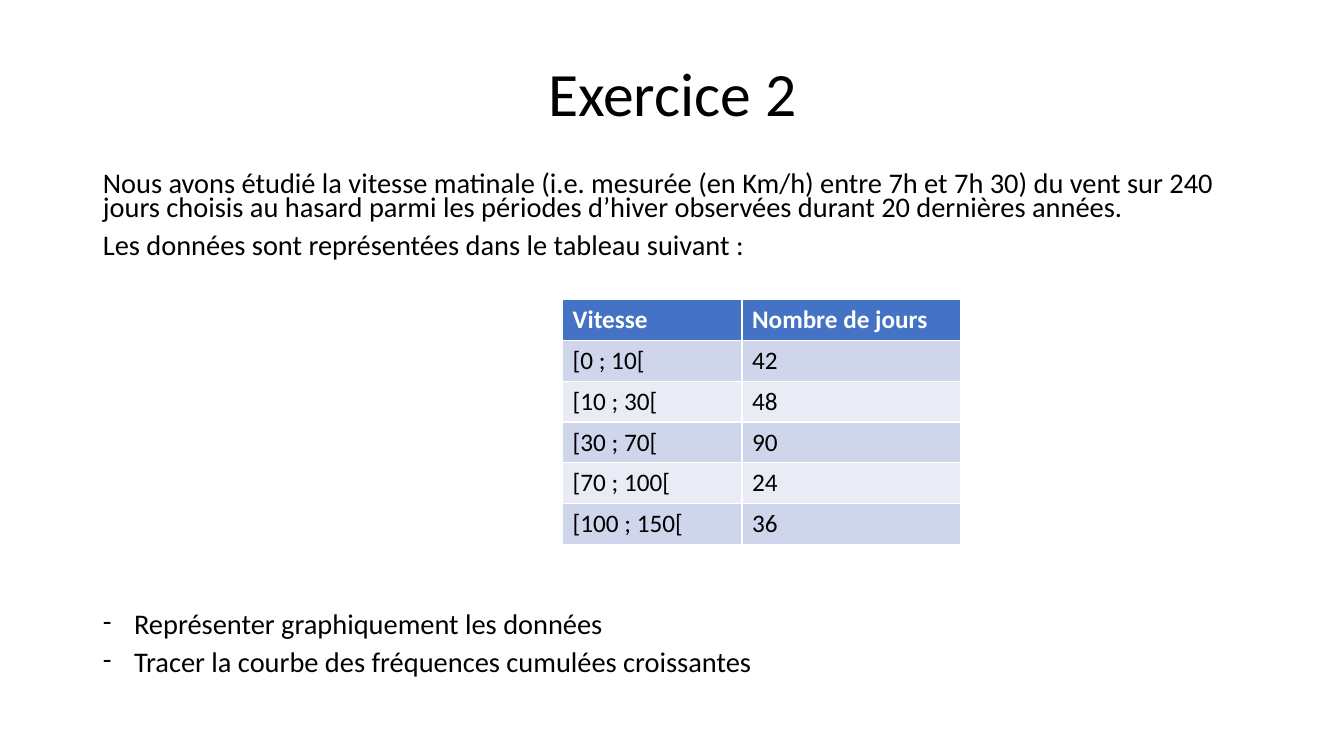
import pptx
import pptx.dml.color
import pptx.enum.text
import pptx.util
from lxml import etree
from pptx.oxml.ns import qn

Inches = pptx.util.Inches
Pt = pptx.util.Pt

TITLE = "Exercice 2"
INTRODUCTION = [
    "Nous avons étudié la vitesse matinale (i.e. mesurée (en Km/h) entre 7h et 7h 30) du vent "
    "sur 240 jours choisis au hasard parmi les périodes d’hiver observées durant 20 dernières années.",
    "Les données sont représentées dans le tableau suivant :",
]
QUESTIONS = [
    "Représenter graphiquement les données",
    "Tracer la courbe des fréquences cumulées croissantes",
]
WIND_SPEEDS = [
    ("Vitesse", "Nombre de jours"),
    ("[0 ; 10[", "42"),
    ("[10 ; 30[", "48"),
    ("[30 ; 70[", "90"),
    ("[70 ; 100[", "24"),
    ("[100 ; 150[", "36"),
]
COLUMN_WIDTHS = (1.78, 2.17)
ROW_HEIGHT = 0.405
TABLE_GAP = 254  # points left between the introduction and the questions
HANGING_INDENT = Inches(0.31)
FONT = "Calibri"
COLORS = {
    "text": "000000",
    "header_text": "FFFFFF",
    "header": "4472C4",
    "odd_row": "CFD5EA",
    "even_row": "E9EBF5",
}


def color(name):
    return pptx.dml.color.RGBColor.from_string(COLORS[name])


def format_runs(paragraph, size, color_name="text", bold=False):
    for run in paragraph.runs:
        run.font.name = FONT
        run.font.size = Pt(size)
        run.font.bold = bold
        run.font.color.rgb = color(color_name)


def place(shape, left, top, width, height):
    shape.left, shape.top = Inches(left), Inches(top)
    shape.width, shape.height = Inches(width), Inches(height)


def set_bullet(paragraph, character=None):
    """Give the paragraph a hanging bullet, or none at all."""
    properties = paragraph._p.get_or_add_pPr()
    indent = HANGING_INDENT if character else 0
    properties.set("marL", str(indent))
    properties.set("indent", str(-indent))
    if character:
        etree.SubElement(properties, qn("a:buFont")).set("typeface", FONT)
        etree.SubElement(properties, qn("a:buChar")).set("char", character)
    else:
        etree.SubElement(properties, qn("a:buNone"))


def fill_title(title):
    place(title, 0.92, 0.23, 11.5, 1.45)
    title.text_frame.text = TITLE
    paragraph = title.text_frame.paragraphs[0]
    paragraph.alignment = pptx.enum.text.PP_ALIGN.CENTER
    paragraph.line_spacing = 0.9
    format_runs(paragraph, 44)


def fill_body(body):
    place(body, 0.92, 1.68, 11.5, 5.3)
    text_frame = body.text_frame
    text_frame.text = "\n".join(INTRODUCTION + QUESTIONS)
    text_frame.auto_size = pptx.enum.text.MSO_AUTO_SIZE.NONE
    first_question = len(INTRODUCTION)
    spaces_before = {0: 0, first_question: TABLE_GAP}
    for index, paragraph in enumerate(text_frame.paragraphs):
        set_bullet(paragraph, "-" if index >= first_question else None)
        paragraph.line_spacing = 0.7
        paragraph.space_before = Pt(spaces_before.get(index, 10))
        format_runs(paragraph, 20.3)


def add_wind_table(slide):
    row_count = len(WIND_SPEEDS)
    table = slide.shapes.add_table(
        row_count, len(COLUMN_WIDTHS), Inches(5.58), Inches(2.97),
        Inches(sum(COLUMN_WIDTHS)), Inches(ROW_HEIGHT * row_count),
    ).table
    for column, width in zip(table.columns, COLUMN_WIDTHS):
        column.width = Inches(width)
    for row_index, values in enumerate(WIND_SPEEDS):
        is_header = row_index == 0
        fill_name = "header" if is_header else "odd_row" if row_index % 2 else "even_row"
        for column_index, value in enumerate(values):
            cell = table.cell(row_index, column_index)
            cell.fill.solid()
            cell.fill.fore_color.rgb = color(fill_name)
            cell.text_frame.text = value
            format_runs(cell.text_frame.paragraphs[0], 18,
                        "header_text" if is_header else "text", is_header)


def main():
    presentation = pptx.Presentation()
    presentation.slide_width = Inches(13.33)
    presentation.slide_height = Inches(7.5)
    slide = presentation.slides.add_slide(presentation.slide_layouts[1])
    fill_title(slide.shapes.title)
    fill_body(slide.placeholders[1])
    add_wind_table(slide)
    presentation.save("out.pptx")


if __name__ == "__main__":
    main()
